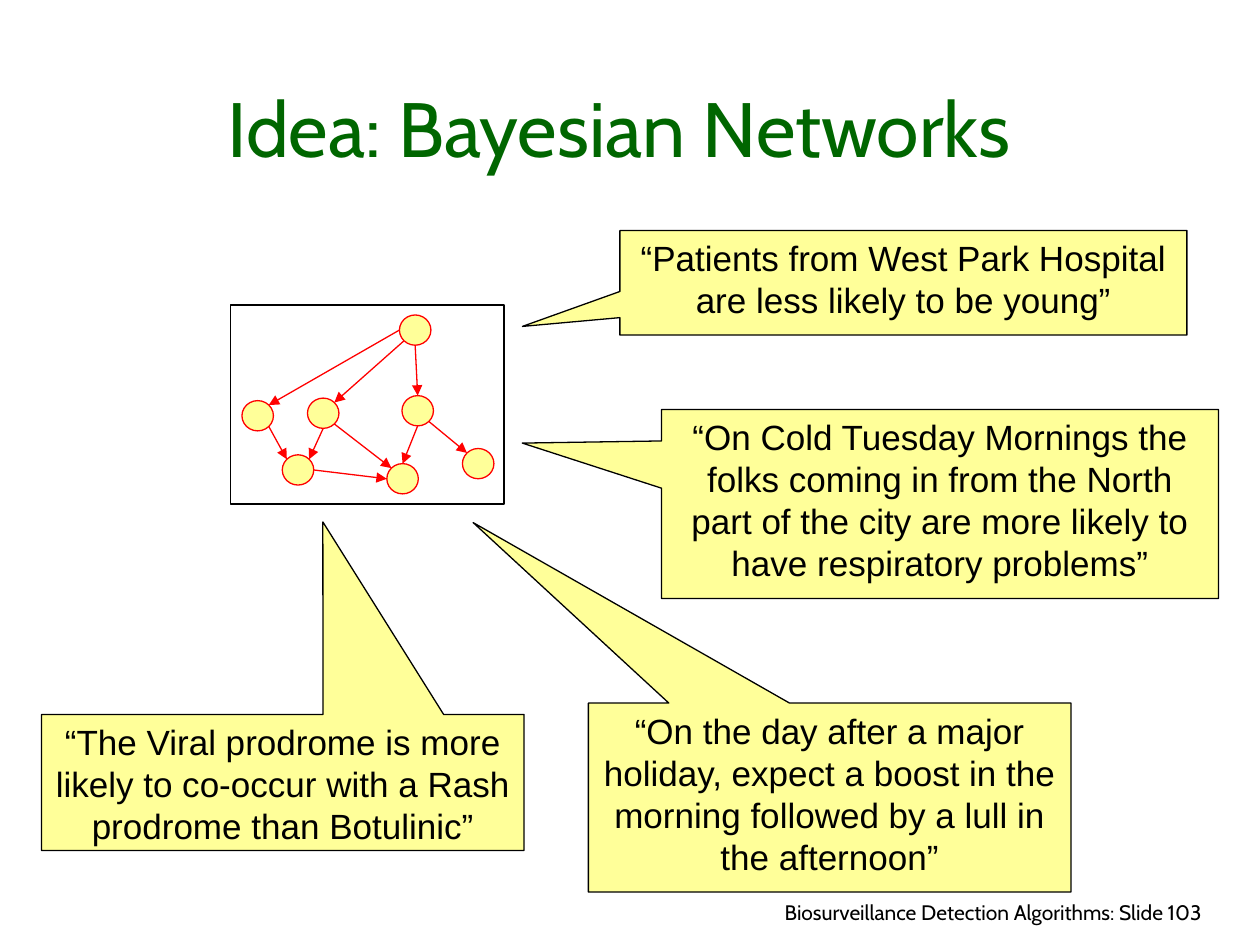
"""Build the Bayesian Networks idea slide: a small network with four callouts."""
import math

import lxml.etree
import pptx
import pptx.dml.color
import pptx.enum.shapes
import pptx.enum.text
import pptx.oxml.ns
import pptx.util

Inches = pptx.util.Inches
Pt = pptx.util.Pt
SHAPE = pptx.enum.shapes.MSO_SHAPE
ALIGN = pptx.enum.text.PP_ALIGN
ANCHOR = pptx.enum.text.MSO_ANCHOR
qn = pptx.oxml.ns.qn


def color(hex_value):
    return pptx.dml.color.RGBColor.from_string(hex_value)


def write(frame, text, font_name, size, hex_value, alignment, anchor):
    frame.word_wrap = True
    frame.auto_size = pptx.enum.text.MSO_AUTO_SIZE.NONE
    frame.vertical_anchor = anchor
    frame.text = text
    paragraph = frame.paragraphs[0]
    paragraph.alignment = alignment
    font = paragraph.runs[0].font
    font.name = font_name
    font.size = Pt(size)
    font.color.rgb = color(hex_value)


presentation = pptx.Presentation()
presentation.slide_width = Inches(10)
presentation.slide_height = Inches(7.5)
slide = presentation.slides.add_slide(presentation.slide_layouts[5])
shapes = slide.shapes

footer = shapes.add_textbox(Inches(5.72), Inches(7.09), Inches(3.92), Inches(0.33))
write(footer.text_frame, "Biosurveillance Detection Algorithms: Slide 103",
      "Cabin", 12, "000000", ALIGN.RIGHT, ANCHOR.TOP)

title = shapes.title
title.left, title.top = Inches(0.25), Inches(0.25)
title.width, title.height = Inches(9.33), Inches(1.17)
write(title.text_frame, "Idea: Bayesian Networks",
      "Cabin", 44, "006600", ALIGN.CENTER, ANCHOR.BOTTOM)

network = shapes.add_group_shape()
node_width, node_height = 0.25, 0.24
nodes = {
    "lower right": (3.67, 3.56),
    "root": (3.17, 2.5),
    "right": (3.19, 3.14),
    "lower middle": (3.07, 3.68),
    "middle": (2.44, 3.16),
    "lower left": (2.24, 3.61),
    "left": (1.92, 3.18),
}
for left, top in nodes.values():
    node = network.shapes.add_shape(
        SHAPE.OVAL, Inches(left), Inches(top), Inches(node_width), Inches(node_height))
    node.shadow.inherit = False
    node.fill.solid()
    node.fill.fore_color.rgb = color("FFFF99")
    node.line.color.rgb = color("FF0000")
    node.line.width = Pt(0.75)

edges = [
    ("root", 180, "left", 45),
    ("root", 225, "middle", 45),
    ("root", 270, "right", 90),
    ("left", 315, "lower left", 135),
    ("middle", 270, "lower left", 45),
    ("lower left", 0, "lower middle", 180),
    ("middle", 315, "lower middle", 135),
    ("right", 270, "lower middle", 90),
    ("right", 315, "lower right", 135),
]
for parent, parent_angle, child, child_angle in edges:
    ends = []
    for name, angle in ((parent, parent_angle), (child, child_angle)):
        left, top = nodes[name]
        ends.append(Inches(left + node_width / 2 * (1 + math.cos(math.radians(angle)))))
        ends.append(Inches(top + node_height / 2 * (1 - math.sin(math.radians(angle)))))
    edge = network.shapes.add_connector(pptx.enum.shapes.MSO_CONNECTOR.STRAIGHT, *ends)
    edge.line.color.rgb = color("FF0000")
    edge.line.width = Pt(0.75)
    lxml.etree.SubElement(edge.line._get_or_add_ln(), qn("a:tailEnd"), type="triangle")
    lxml.etree.SubElement(edge._element.spPr, qn("a:effectLst"))

frame = network.shapes.add_shape(
    SHAPE.RECTANGLE, Inches(1.83), Inches(2.42), Inches(2.17), Inches(1.58))
frame.shadow.inherit = False
frame.fill.background()
frame.line.color.rgb = color("000000")
frame.line.width = Pt(1)

callouts = [
    (5.25, 3.25, 4.42, 1.5, -0.75, -0.322,
     "“On Cold Tuesday Mornings the folks coming in from the North part of the city "
     "are more likely to have respiratory problems”"),
    (4.92, 1.83, 4.5, 0.83, -0.672, 0.417,
     "“Patients from West Park Hospital are less likely to be young”"),
    (0.33, 5.67, 3.83, 1.08, 0.083, -1.915,
     "“The Viral prodrome is more likely to co-occur with a Rash prodrome than Botulinic”"),
    (4.67, 5.58, 3.83, 1.5, -0.739, -1.455,
     "“On the day after a major holiday, expect a boost in the morning followed by "
     "a lull in the afternoon”"),
]
for left, top, width, height, tip_x, tip_y, quote in callouts:
    callout = shapes.add_shape(
        SHAPE.RECTANGULAR_CALLOUT, Inches(left), Inches(top), Inches(width), Inches(height))
    callout.adjustments[0] = tip_x
    callout.adjustments[1] = tip_y
    callout.shadow.inherit = False
    callout.fill.solid()
    callout.fill.fore_color.rgb = color("FFFF99")
    callout.line.color.rgb = color("000000")
    callout.line.width = Pt(0.75)
    write(callout.text_frame, quote, "Arial", 20, "000000", ALIGN.CENTER, ANCHOR.TOP)

presentation.save("out.pptx")
